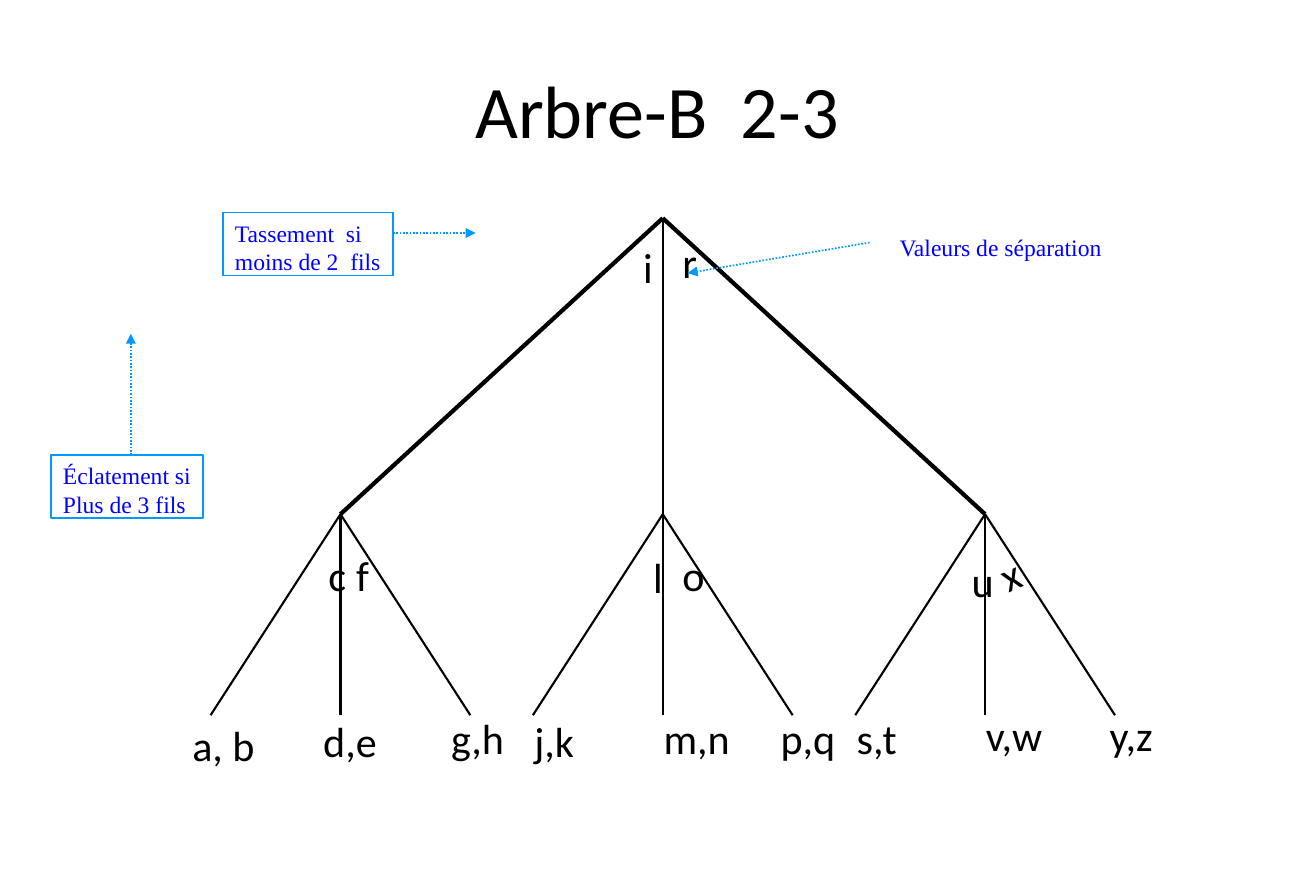
from dataclasses import dataclass

from lxml.etree import SubElement
from pptx import Presentation
from pptx.dml.color import RGBColor
from pptx.enum.dml import MSO_LINE
from pptx.enum.shapes import MSO_CONNECTOR, MSO_SHAPE
from pptx.enum.text import MSO_ANCHOR, MSO_AUTO_SIZE, PP_ALIGN
from pptx.oxml.ns import qn
from pptx.util import Cm, Pt


@dataclass(frozen=True)
class Theme:
    ink: RGBColor = RGBColor(0x00, 0x00, 0x00)
    note_text: RGBColor = RGBColor(0x00, 0x00, 0xFF)
    note_line: RGBColor = RGBColor(0x00, 0x99, 0xFF)
    tree_font: str = "Calibri"
    note_font: str = "Times New Roman"
    title_size: float = 44
    label_size: float = 25
    note_size: float = 14
    thick: float = 2.5
    thin: float = 1.25
    note_width: float = 1


THEME = Theme()

# All lengths are centimetres; a box is left, top, width, height
SLIDE_SIZE = (27.56, 18.39)
TITLE_BOX = (1.37, 0.74, 24.79, 3.07)
TREE_BOX = (4.41, 4.57, 18.94, 10.41)
NODE_DEPTH = 6.2
LEAF_SPREAD = 2.72
LABEL_HEIGHT = 1.07

# Label: text, offset from its node or leaf, width, rotation
ROOT_KEYS = [("i", -0.41, 0.48, 0.23, 0), ("r", 0.41, 0.38, 0.36, 0)]
NODE_KEYS = [
    [("c", -0.25, 0.74, 0.43, 0), ("f", 0.33, 0.74, 0.3, 0)],
    [("l", -0.2, 0.79, 0.23, 0), ("o", 0.41, 0.74, 0.53, 0)],
    [("u", -0.28, 0.86, 0.53, 0), ("x", 0.36, 0.99, 0.46, 156)],
]
LEAVES = [
    [("a, b", -0.38, 0.08, 1.5, 0), ("d,e", -0.36, 0, 1.27, 0), ("g,h", -0.4, -0.05, 1.32, 0)],
    [("j,k", 0.03, 0, 0.94, 0), ("m,n", 0.02, -0.05, 1.6, 0), ("p,q", -0.25, -0.05, 1.32, 0)],
    [("s,t", 0.03, -0.05, 0.99, 0), ("v,w", 0.02, -0.13, 1.37, 0), ("y,z", -0.11, -0.13, 1.09, 0)],
]

# Note: text, box, arrow start and end within the box, outlined
NOTES = [
    ("Valeurs de séparation", (18.59, 4.75, 4.8, 0.71), (-0.38, 0.33), (-4.19, 0.97), False),
    ("Éclatement si\nPlus de 3 fils", (1.07, 9.53, 3.18, 1.32), (1.67, 0), (1.67, -2.54), True),
    ("Tassement  si\nmoins de 2  fils", (4.67, 4.45, 3.56, 1.32), (3.56, 0.43), (5.29, 0.43), True),
]


def write(shape, text, font, size, color, insets, align=PP_ALIGN.LEFT):
    text_frame = shape.text_frame
    text_frame.text = text
    text_frame.margin_left = text_frame.margin_right = Cm(insets[0])
    text_frame.margin_top, text_frame.margin_bottom = Cm(insets[1]), Cm(insets[2])
    text_frame.vertical_anchor = MSO_ANCHOR.TOP
    text_frame.word_wrap = False
    text_frame.auto_size = MSO_AUTO_SIZE.SHAPE_TO_FIT_TEXT
    for paragraph in text_frame.paragraphs:
        paragraph.alignment = align
        for run in paragraph.runs:
            run.font.name = font
            run.font.size = Pt(size)
            run.font.color.rgb = color


def add_line(slide, start, end, color, width):
    line = slide.shapes.add_connector(
        MSO_CONNECTOR.STRAIGHT, *(Cm(value) for value in (*start, *end)))
    line.line.color.rgb = color
    line.line.width = Pt(width)
    SubElement(line._element.spPr, qn("a:effectLst"))
    return line


def add_labels(slide, anchor, labels):
    for text, right, down, width, rotation in labels:
        label = slide.shapes.add_textbox(
            Cm(anchor[0] + right), Cm(anchor[1] + down), Cm(width), Cm(LABEL_HEIGHT))
        write(label, text, THEME.tree_font, THEME.label_size, THEME.ink, (0, 0, 0))
        label.rotation = rotation


def add_title(slide, box):
    title = slide.shapes.add_textbox(*(Cm(value) for value in box))
    write(title, "Arbre-B  2-3", THEME.tree_font, THEME.title_size, THEME.ink,
          (0.25, 0.13, 0.13), PP_ALIGN.CENTER)
    title.text_frame.word_wrap = True
    title.text_frame.auto_size = MSO_AUTO_SIZE.NONE
    title.text_frame.vertical_anchor = MSO_ANCHOR.MIDDLE


def add_tree(slide, box):
    left, top, width, height = box
    root = (left + width / 2, top)
    node_step = (width - 2 * LEAF_SPREAD) / (len(LEAVES) - 1)
    nodes = [(left + LEAF_SPREAD + index * node_step, top + NODE_DEPTH)
             for index in range(len(LEAVES))]

    # Branches: the outer two from the root are thick
    for index, node in enumerate(nodes):
        weight = THEME.thin if index == 1 else THEME.thick
        add_line(slide, root, node, THEME.ink, weight)
    add_labels(slide, root, ROOT_KEYS)

    # Each node with its separating keys and its three leaves
    for node, keys, leaves in zip(nodes, NODE_KEYS, LEAVES):
        add_labels(slide, node, keys)
        for side, label in zip((-1, 0, 1), leaves):
            leaf = (node[0] + side * LEAF_SPREAD, top + height)
            add_line(slide, node, leaf, THEME.ink, THEME.thin)
            add_labels(slide, leaf, [label])


def add_note(slide, text, box, start, end, outlined):
    left, top = box[:2]
    # Dotted arrow
    arrow = add_line(slide, (left + start[0], top + start[1]),
                     (left + end[0], top + end[1]), THEME.note_line, THEME.note_width)
    arrow.line.dash_style = MSO_LINE.ROUND_DOT
    SubElement(arrow.line._get_or_add_ln(), qn("a:tailEnd"), type="triangle")

    # Note text, framed when outlined
    lengths = [Cm(value) for value in box]
    if outlined:
        note = slide.shapes.add_shape(MSO_SHAPE.RECTANGLE, *lengths)
        note.shadow.inherit = False
        note.fill.background()
        note.line.color.rgb = THEME.note_line
        note.line.width = Pt(THEME.note_width)
    else:
        note = slide.shapes.add_textbox(*lengths)
    write(note, text, THEME.note_font, THEME.note_size, THEME.note_text, (0.25, 0.13, 0))
    if outlined:
        # A narrow right inset keeps each line whole inside the frame
        note.text_frame.margin_right = Cm(0.05)


def main():
    presentation = Presentation()
    presentation.slide_width, presentation.slide_height = (Cm(value) for value in SLIDE_SIZE)
    slide = presentation.slides.add_slide(presentation.slide_layouts[6])
    add_tree(slide, TREE_BOX)
    add_title(slide, TITLE_BOX)
    for note in NOTES:
        add_note(slide, *note)
    presentation.save("out.pptx")


if __name__ == "__main__":
    main()
